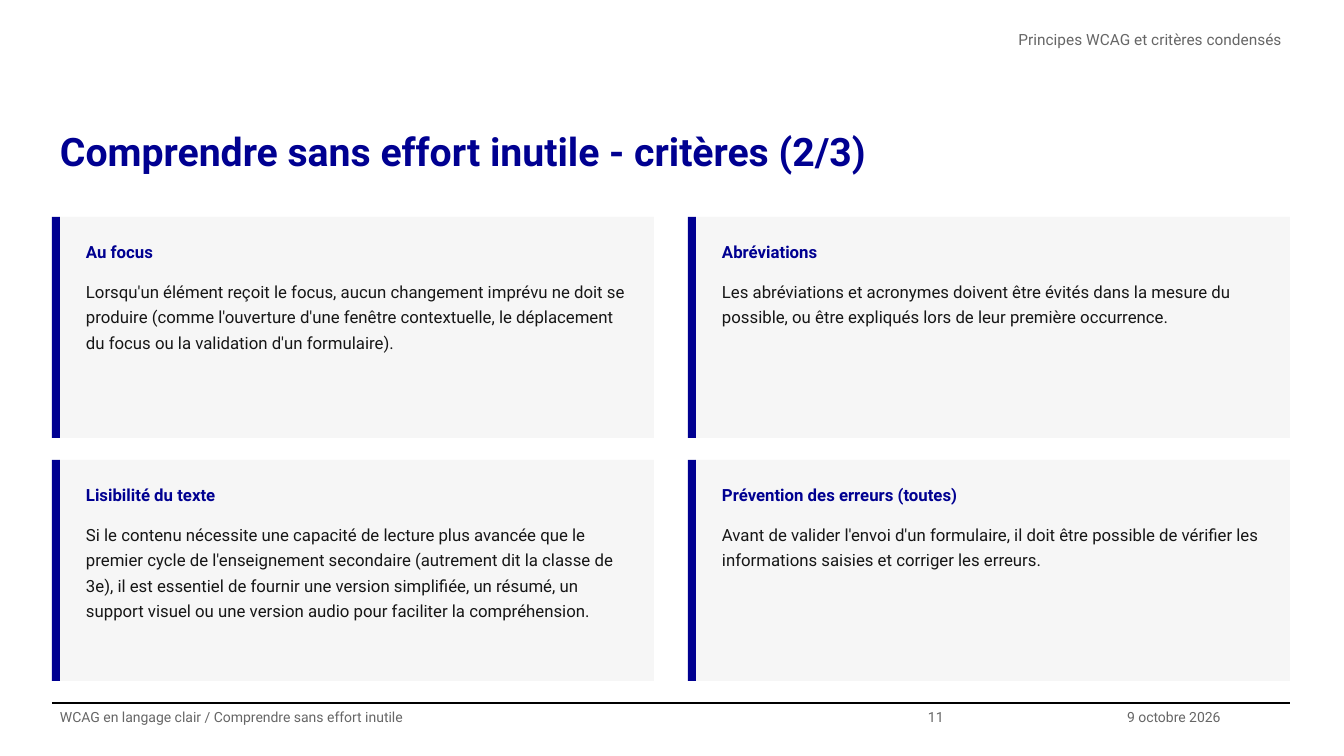
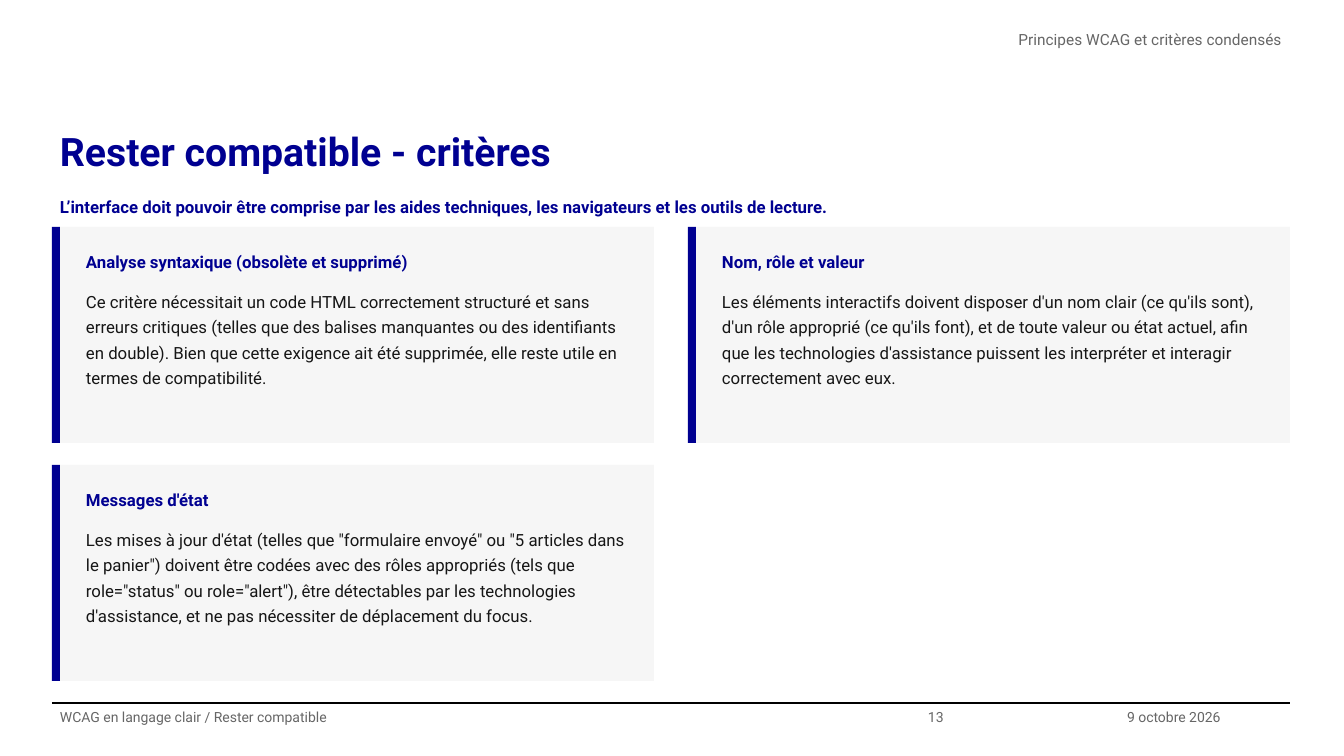
from lxml.etree import SubElement
from pptx import Presentation
from pptx.dml.color import RGBColor
from pptx.enum.shapes import MSO_CONNECTOR, MSO_SHAPE
from pptx.enum.text import MSO_ANCHOR, PP_ALIGN
from pptx.oxml.ns import qn
from pptx.util import Emu, Pt

# Shared style
PX = 914400 / 100.8
SLIDE_W, SLIDE_H = 1344, 756
FONT = "Roboto"
COLORS = {
    "accent": "000091",
    "panel": "F6F6F6",
    "body": "161616",
    "muted": "666666",
    "rule": "000000",
}
LEFT, CONTENT_W = 52, 1238
FOOTER_TOP, FOOTER_H = 704, 52
INSET_X, INSET_Y = 8, 5

# Card grid
COLUMNS = 2
COLUMN_PITCH = 636
ROW_GAP = 22
GRID_BOTTOM = 681
BAR_W, PANEL_W = 8, 594
CARD_TEXT_X, CARD_TEXT_W = 26, 561
HEADING_Y, HEADING_H = 15, 35
BODY_Y, BODY_MARGIN = 55, 11

SECTION = "Principes WCAG et critères condensés"
DOCUMENT = "WCAG en langage clair"
DATE = "9 octobre 2026"

SLIDES = [
    {
        "title": "Comprendre sans effort inutile - critères (2/3)",
        "topic": "Comprendre sans effort inutile",
        "number": "11",
        "grid_top": 217,
        "cards": [
            ("Au focus",
             "Lorsqu'un élément reçoit le focus, aucun changement imprévu ne doit se "
             "produire (comme l'ouverture d'une fenêtre contextuelle, le déplacement "
             "du focus ou la validation d'un formulaire)."),
            ("Abréviations",
             "Les abréviations et acronymes doivent être évités dans la mesure du "
             "possible, ou être expliqués lors de leur première occurrence."),
            ("Lisibilité du texte",
             "Si le contenu nécessite une capacité de lecture plus avancée que le "
             "premier cycle de l'enseignement secondaire (autrement dit la classe de "
             "3e), il est essentiel de fournir une version simplifiée, un résumé, un "
             "support visuel ou une version audio pour faciliter la compréhension."),
            ("Prévention des erreurs (toutes)",
             "Avant de valider l'envoi d'un formulaire, il doit être possible de "
             "vérifier les informations saisies et corriger les erreurs."),
        ],
    },
    {
        "title": "Rester compatible - critères",
        "topic": "Rester compatible",
        "number": "13",
        "lead": "L’interface doit pouvoir être comprise par les aides techniques, "
                "les navigateurs et les outils de lecture.",
        "grid_top": 227,
        "cards": [
            ("Analyse syntaxique (obsolète et supprimé)",
             "Ce critère nécessitait un code HTML correctement structuré et sans "
             "erreurs critiques (telles que des balises manquantes ou des identifiants "
             "en double). Bien que cette exigence ait été supprimée, elle reste utile "
             "en termes de compatibilité."),
            ("Nom, rôle et valeur",
             "Les éléments interactifs doivent disposer d'un nom clair (ce qu'ils "
             "sont), d'un rôle approprié (ce qu'ils font), et de toute valeur ou état "
             "actuel, afin que les technologies d'assistance puissent les interpréter "
             "et interagir correctement avec eux."),
            ("Messages d'état",
             "Les mises à jour d'état (telles que \"formulaire envoyé\" ou \"5 articles "
             "dans le panier\") doivent être codées avec des rôles appropriés (tels que "
             "role=\"status\" ou role=\"alert\"), être détectables par les technologies "
             "d'assistance, et ne pas nécessiter de déplacement du focus."),
        ],
    },
]


def px(*lengths):
    return [Emu(round(length * PX)) for length in lengths]


def color(name):
    return RGBColor.from_string(COLORS[name])


def add_text(slide, box, text, size, color_name, bold=False,
             align=PP_ALIGN.LEFT, inset_y=0):
    frame = slide.shapes.add_textbox(*px(*box)).text_frame
    frame.word_wrap = True
    frame.vertical_anchor = MSO_ANCHOR.TOP
    frame.margin_left, frame.margin_right = px(INSET_X, INSET_X)
    frame.margin_top, frame.margin_bottom = px(inset_y, inset_y)
    paragraph = frame.paragraphs[0]
    paragraph.alignment = align
    paragraph.line_spacing = 1.25
    run = paragraph.add_run()
    run.text = text
    run.font.name = FONT
    run.font.size = Pt(size)
    run.font.bold = bold
    run.font.color.rgb = color(color_name)


def add_rectangle(slide, box, color_name):
    shape = slide.shapes.add_shape(MSO_SHAPE.RECTANGLE, *px(*box))
    shape.shadow.inherit = False
    shape.fill.solid()
    shape.fill.fore_color.rgb = color(color_name)
    shape.line.fill.background()


def add_rule(slide, left, top, width):
    rule = slide.shapes.add_connector(
        MSO_CONNECTOR.STRAIGHT, *px(left, top, left + width, top))
    rule.line.color.rgb = color("rule")
    rule.line.width = Pt(0.8)
    SubElement(rule._element.spPr, qn("a:effectLst"))


def add_frame(slide, title, topic, number):
    """Title, section header and footer common to every slide."""
    add_rule(slide, LEFT, FOOTER_TOP - 1, CONTENT_W)
    add_text(slide, (LEFT, 116, CONTENT_W, 106), title, 28, "accent", bold=True)
    add_text(slide, (487, 26, 803, 52), SECTION, 11, "muted",
             align=PP_ALIGN.RIGHT)
    footer = [
        (LEFT, 868, f"{DOCUMENT} / {topic}"),
        (920, 199, number),
        (1119, 171, DATE),
    ]
    for left, width, text in footer:
        add_text(slide, (left, FOOTER_TOP, width, FOOTER_H), text, 10, "muted")


def add_card(slide, left, top, height, heading, body):
    add_rectangle(slide, (left + BAR_W, top, PANEL_W, height), "panel")
    add_rectangle(slide, (left, top, BAR_W, height), "accent")
    text_left = left + CARD_TEXT_X
    add_text(slide, (text_left, top + HEADING_Y, CARD_TEXT_W, HEADING_H),
             heading, 12, "accent", bold=True, inset_y=INSET_Y)
    body_height = height - BODY_Y - BODY_MARGIN
    add_text(slide, (text_left, top + BODY_Y, CARD_TEXT_W, body_height),
             body, 12, "body", inset_y=INSET_Y)


def add_card_grid(slide, top, cards):
    """Two rows of cards that fill the space down to GRID_BOTTOM."""
    height = (GRID_BOTTOM - top - ROW_GAP) // 2
    for index, (heading, body) in enumerate(cards):
        row, column = divmod(index, COLUMNS)
        add_card(slide, LEFT + column * COLUMN_PITCH,
                 top + row * (height + ROW_GAP), height, heading, body)


def main():
    presentation = Presentation()
    presentation.slide_width, presentation.slide_height = px(SLIDE_W, SLIDE_H)
    blank = presentation.slide_layouts[6]
    for content in SLIDES:
        slide = presentation.slides.add_slide(blank)
        add_frame(slide, content["title"], content["topic"], content["number"])
        if "lead" in content:
            add_text(slide, (LEFT, 187, CONTENT_W, 28), content["lead"], 12,
                     "accent", bold=True, inset_y=INSET_Y)
        add_card_grid(slide, content["grid_top"], content["cards"])
    presentation.save("out.pptx")


if __name__ == "__main__":
    main()
